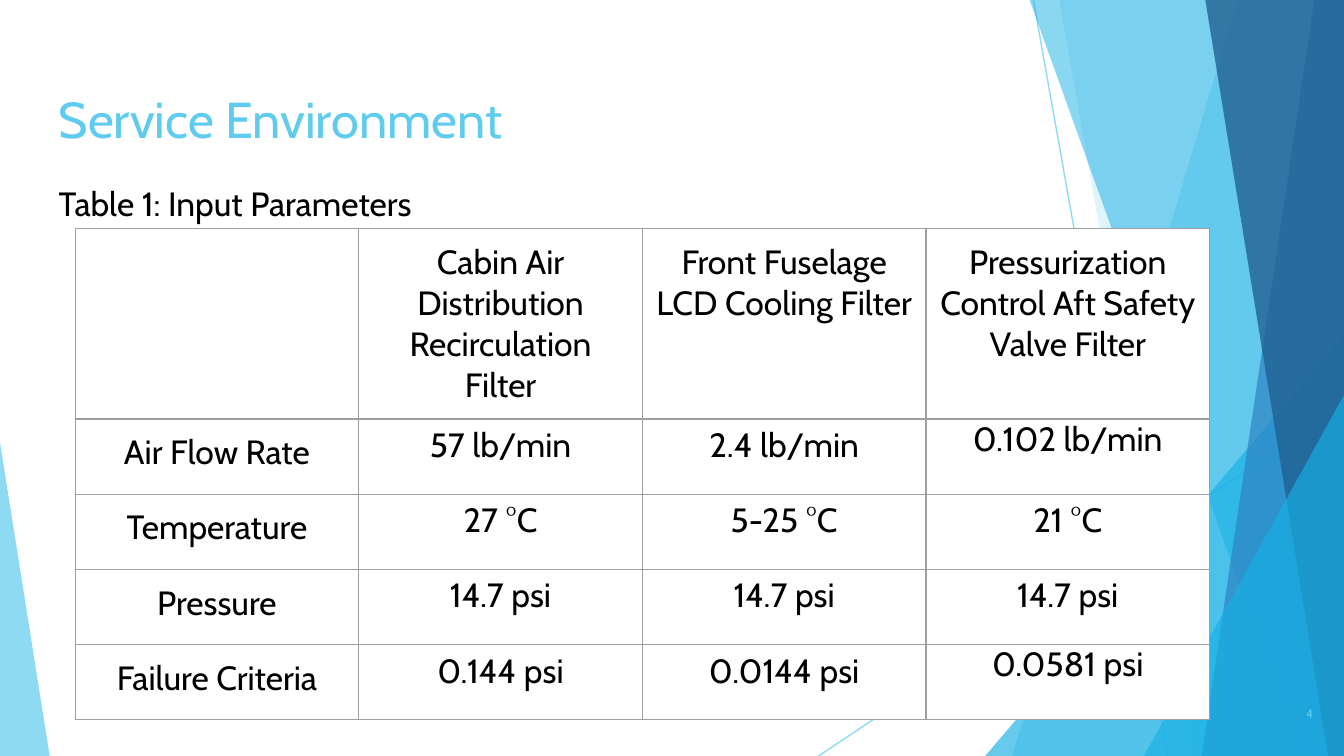
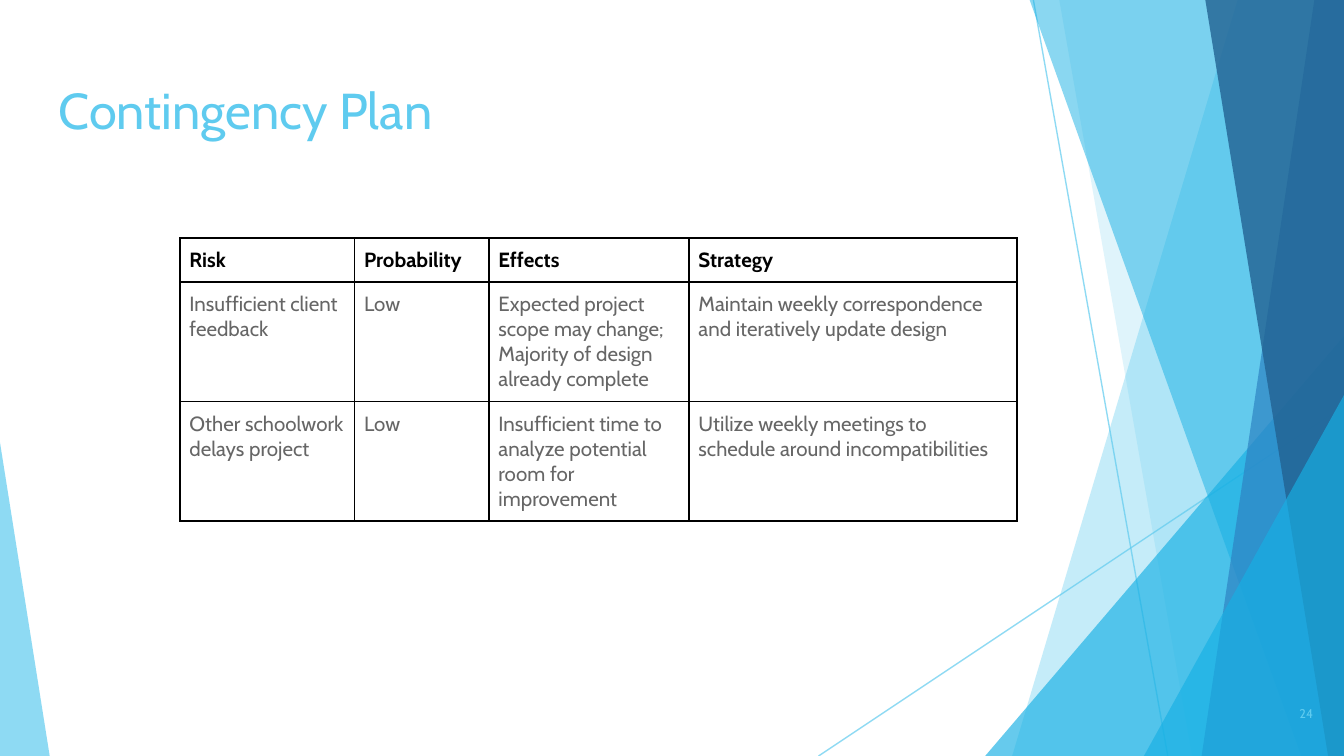
from lxml.etree import SubElement
from pptx import Presentation
from pptx.dml.color import RGBColor
from pptx.enum.shapes import MSO_CONNECTOR, MSO_SHAPE
from pptx.enum.text import MSO_ANCHOR, MSO_AUTO_SIZE, PP_ALIGN
from pptx.oxml.ns import qn
from pptx.util import Cm, Pt

WIDTH, HEIGHT = 25.4, 14.29
FONT = "Cabin"
COLORS = {
    "sky": "5FCBEF",
    "cyan": "17B0E4",
    "blue": "2E83C3",
    "navy": "226292",
    "black": "000000",
    "gray": "666666",
    "rule": "9E9E9E",
    "white": "FFFFFF",
}

PARAMETERS = [
    ["", "Cabin Air Distribution Recirculation Filter", "Front Fuselage LCD Cooling Filter",
     "Pressurization Control Aft Safety Valve Filter"],
    ["Air Flow Rate", "57 lb/min", "2.4 lb/min", "0.102 lb/min"],
    ["Temperature", "27 °C", "5-25 °C", "21 °C"],
    ["Pressure", "14.7 psi", "14.7 psi", "14.7 psi"],
    ["Failure Criteria", "0.144 psi", "0.0144 psi", "0.0581 psi"],
]
SINGLE_SPACED = ("0.102 lb/min", "0.0581 psi")

RISKS = [
    ["Risk", "Probability", "Effects", "Strategy"],
    ["Insufficient client feedback", "Low",
     "Expected project scope may change; Majority of design already complete",
     "Maintain weekly correspondence and iteratively update design"],
    ["Other schoolwork delays project", "Low",
     "Insufficient time to analyze potential room for improvement",
     "Utilize weekly meetings to schedule around incompatibilities"],
]


def rgb(name):
    """Return the named colour."""
    return RGBColor.from_string(COLORS[name])


def set_opacity(shape, percent):
    """Make the colours of a shape partly transparent."""
    for color in shape.element.iter(qn("a:srgbClr")):
        SubElement(color, qn("a:alpha"), val=str(percent * 1000))


class Deck:
    """Holds the shared style, the presentation and the current slide."""

    def __init__(self):
        """Open a presentation with a bare title-only layout."""
        self.presentation = Presentation()
        self.presentation.slide_width = Cm(WIDTH)
        self.presentation.slide_height = Cm(HEIGHT)
        self.layout = self.presentation.slide_layouts[5]
        for placeholder in list(self.layout.placeholders):
            if placeholder.placeholder_format.idx != 0:
                self.layout.shapes.element.remove(placeholder.element)
        self.slide = None

    def add_slide(self, title, number, title_spacing=None):
        """Start a slide with its title and page number."""
        self.slide = self.presentation.slides.add_slide(self.layout)
        shape = self.slide.shapes.title
        shape.left, shape.top, shape.width, shape.height = map(Cm, (0.86, 1.24, 23.67, 1.6))
        self.fill_text(shape.text_frame, title, 27, "sky", spacing=title_spacing)
        self.text(number, (23.55, 12.95, 1.52, 1.09), 6.8, "sky",
                  PP_ALIGN.RIGHT, MSO_ANCHOR.MIDDLE)

    def format_paragraph(self, paragraph, size, color, align=PP_ALIGN.LEFT, bold=False,
                         spacing=None):
        """Apply font, alignment and line spacing to a paragraph."""
        paragraph.alignment = align
        paragraph.line_spacing = spacing
        paragraph.font.name = FONT
        paragraph.font.size = Pt(size)
        paragraph.font.bold = bold
        paragraph.font.color.rgb = rgb(color)

    def fill_text(self, frame, text, size, color, align=PP_ALIGN.LEFT,
                  anchor=MSO_ANCHOR.TOP, spacing=None):
        """Put one formatted paragraph in a text frame."""
        frame.text = text
        frame.word_wrap = True
        frame.auto_size = MSO_AUTO_SIZE.NONE
        frame.vertical_anchor = anchor
        frame.margin_left = frame.margin_right = Cm(0.25)
        frame.margin_top = frame.margin_bottom = Cm(0.25)
        self.format_paragraph(frame.paragraphs[0], size, color, align, spacing=spacing)

    def text(self, text, box, size, color, align=PP_ALIGN.LEFT, anchor=MSO_ANCHOR.TOP):
        """Add a text box."""
        shape = self.slide.shapes.add_textbox(*map(Cm, box))
        self.fill_text(shape.text_frame, text, size, color, align, anchor)

    def line(self, *ends):
        """Add a thin translucent line."""
        connector = self.slide.shapes.add_connector(MSO_CONNECTOR.STRAIGHT, *map(Cm, ends))
        connector.line.color.rgb = rgb("sky")
        connector.line.width = Pt(0.75)
        SubElement(connector.element.spPr, qn("a:effectLst"))
        set_opacity(connector, 70)
        return connector

    def paint(self, shape, color, opacity):
        """Give a shape a translucent fill without outline or shadow."""
        shape.shadow.inherit = False
        shape.fill.solid()
        shape.fill.fore_color.rgb = rgb(color)
        shape.line.fill.background()
        set_opacity(shape, opacity)
        return shape

    def band(self, top_x, bottom_x, color, opacity):
        """Add a band from a slanted left edge to the right edge of the slide."""
        builder = self.slide.shapes.build_freeform(Cm(top_x), 0)
        corners = [(WIDTH, 0), (WIDTH, HEIGHT), (bottom_x, HEIGHT)]
        builder.add_line_segments([(Cm(x), Cm(y)) for x, y in corners])
        return self.paint(builder.convert_to_shape(), color, opacity)

    def triangle(self, left, top, width, apex, color, opacity):
        """Add a triangle that stands on the bottom of the slide."""
        shape = self.slide.shapes.add_shape(
            MSO_SHAPE.ISOSCELES_TRIANGLE, Cm(left), Cm(top), Cm(width), Cm(HEIGHT - top))
        shape.adjustments[0] = apex
        return self.paint(shape, color, opacity)

    def backdrop(self):
        """Draw the facets and move them to the layout all slides share."""
        facets = [
            self.line(19.53, 0, 22.07, HEIGHT),
            self.line(WIDTH, 7.67, 15.47, HEIGHT),
            self.band(23.39, 19.13, "sky", 36),
            self.band(20.02, 22.53, "sky", 20),
            self.triangle(18.62, 6.35, 6.78, 1, "cyan", 66),
            self.band(19.46, 24.59, "cyan", 50),
            self.band(24.84, 22.71, "blue", 70),
            self.band(22.78, 25.1, "navy", 80),
            self.triangle(21.62, 7.47, 3.78, 1, "cyan", 66),
            self.triangle(0, 8.36, 0.94, 0, "sky", 70),
        ]
        for facet in facets:
            self.layout.shapes.element.append(facet.element)

    def border(self, cell, color, width):
        """Rule all four sides of a cell."""
        properties = cell._tc.get_or_add_tcPr()
        for side in ("a:lnL", "a:lnR", "a:lnT", "a:lnB"):
            line = SubElement(properties, qn(side), w=str(Pt(width)))
            fill = SubElement(line, qn("a:solidFill"))
            SubElement(fill, qn("a:srgbClr"), val=COLORS[color])

    def table(self, rows, left, top, widths, heights, rule, rule_width, style, fill=None):
        """Add a ruled table; style gives margins and paragraph format per cell."""
        frame = self.slide.shapes.add_table(
            len(rows), len(widths), Cm(left), Cm(top), Cm(sum(widths)), Cm(sum(heights)))
        table = frame.table
        table.first_row = table.horz_banding = False
        for column, width in zip(table.columns, widths):
            column.width = Cm(width)
        for row, height in zip(table.rows, heights):
            row.height = Cm(height)
        for row_index, row in enumerate(rows):
            for column_index, text in enumerate(row):
                cell = table.cell(row_index, column_index)
                cell.text = text
                side, edge, look = style(row_index, column_index, text)
                cell.margin_left = cell.margin_right = Cm(side)
                cell.margin_top = cell.margin_bottom = Cm(edge)
                self.format_paragraph(cell.text_frame.paragraphs[0], **look)
                self.border(cell, rule, rule_width)
                if fill:
                    cell.fill.solid()
                    cell.fill.fore_color.rgb = rgb(fill)
                else:
                    cell.fill.background()


def parameter_style(row, column, text):
    """Centre all cells and set the values tight to the top."""
    look = {"size": 18, "color": "black", "align": PP_ALIGN.CENTER}
    if row == 0 or column == 0:
        return 0.25, 0.25, look
    if text not in SINGLE_SPACED:
        look["spacing"] = 1.15
    return 0.2, 0, look


def risk_style(row, column, text):
    """Set a bold black header over gray entries."""
    header = row == 0
    return 0.18, 0.18, {"size": 11, "color": "black" if header else "gray", "bold": header}


def main():
    """Build both slides and save them."""
    deck = Deck()

    deck.add_slide("Service Environment", "4", title_spacing=1.15)
    deck.backdrop()
    deck.table(PARAMETERS, 1.42, 4.32, [5.36] * 4, [2.95] + [1.42] * 4,
               "rule", 0.75, parameter_style, "white")
    deck.text("Table 1: Input Parameters", (0.86, 3.2, 13.61, 0.91), 18, "black")

    deck.add_slide("Contingency Plan", "24")
    deck.table(RISKS, 3.4, 4.5, [3.3, 2.54, 3.78, 6.2], [0.83, 2.25, 2.25],
               "black", 1, risk_style)

    deck.presentation.save("out.pptx")


if __name__ == "__main__":
    main()
